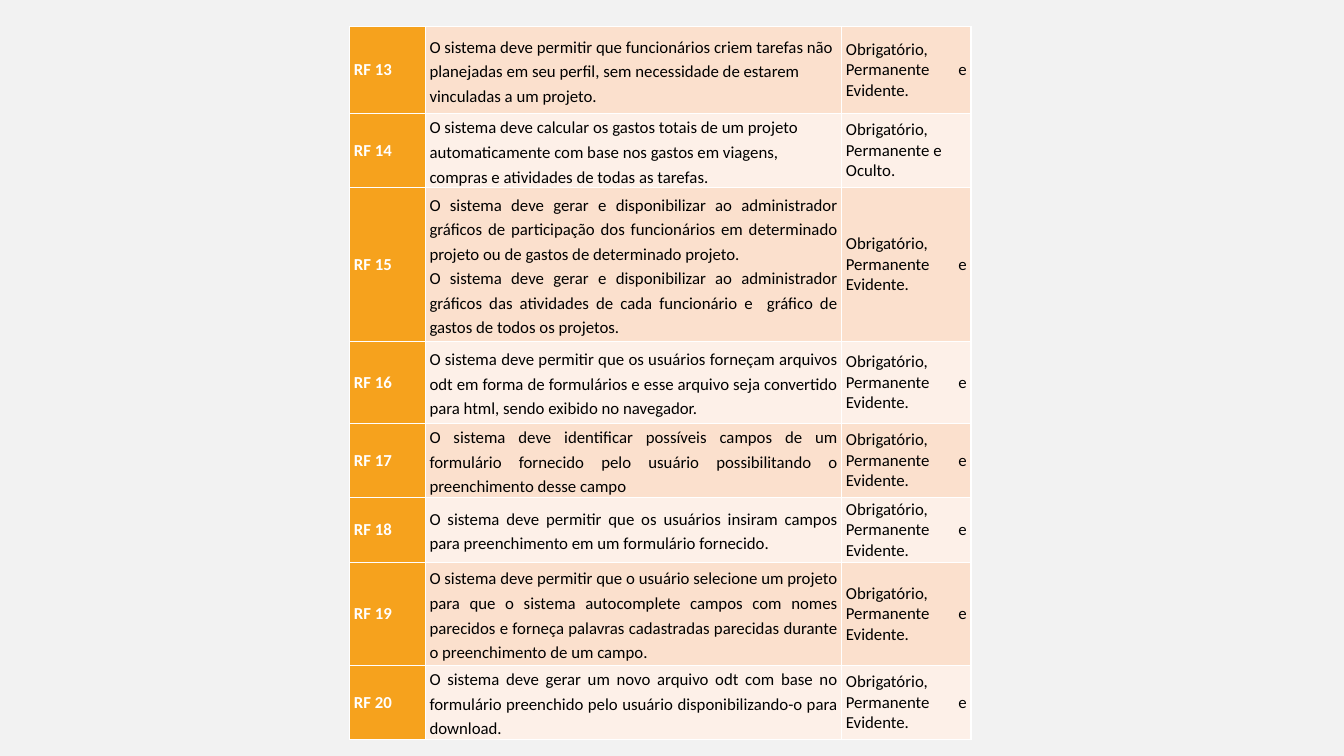
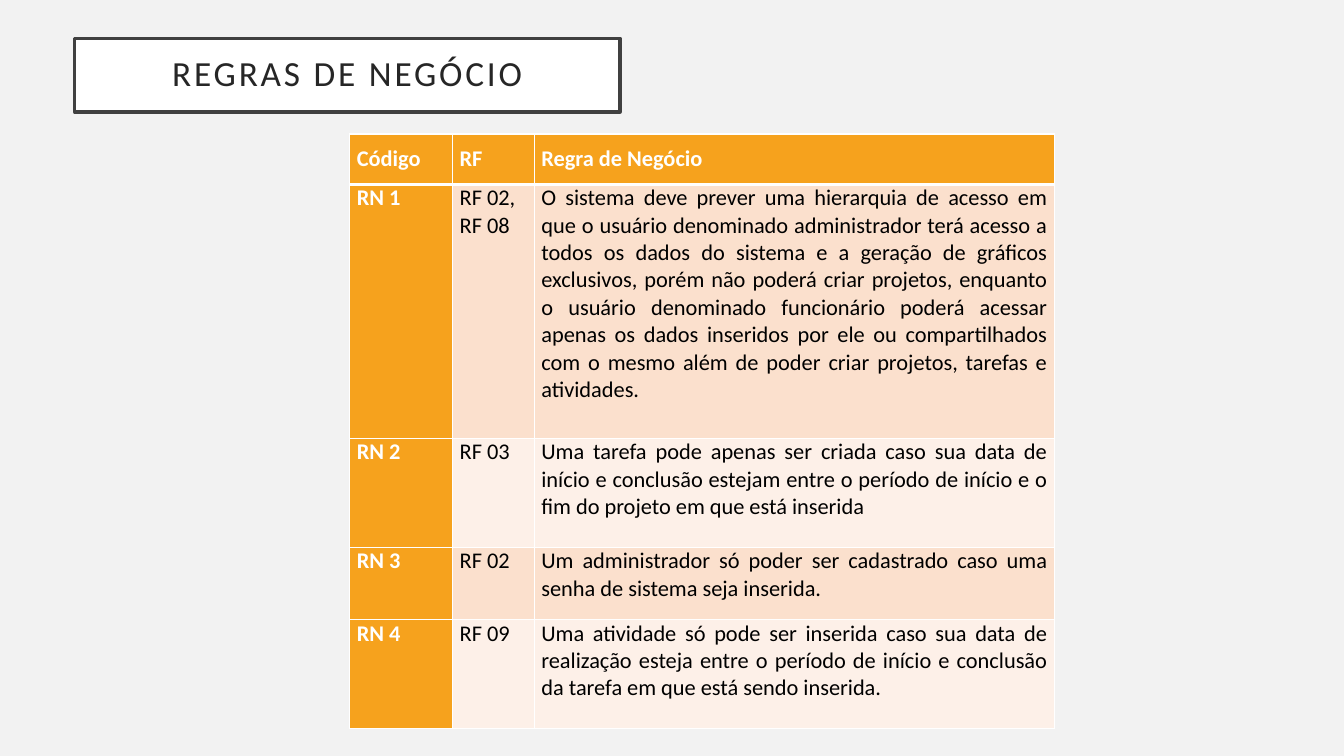
from lxml.etree import SubElement
from pptx import Presentation
from pptx.dml.color import RGBColor
from pptx.enum.text import MSO_ANCHOR, MSO_AUTO_SIZE, PP_ALIGN
from pptx.oxml.ns import qn
from pptx.util import Inches, Pt

# Shared look
FONT = "Calibri"
BACKGROUND = RGBColor(0xF2, 0xF2, 0xF2)
WHITE = RGBColor(0xFF, 0xFF, 0xFF)
BLACK = RGBColor(0x00, 0x00, 0x00)
ORANGE = RGBColor(0xF6, 0xA2, 0x1D)
BANDS = (RGBColor(0xFB, 0xE0, 0xCD), RGBColor(0xFD, 0xF0, 0xE8))
TITLE_LINE = RGBColor(0x40, 0x40, 0x40)
TITLE_TEXT = RGBColor(0x26, 0x26, 0x26)
TABLE_LEFT = 3.47
TITLE_ONLY, BLANK = 5, 6
LEFT, JUSTIFY = PP_ALIGN.LEFT, PP_ALIGN.JUSTIFY

# Functional requirements: code, description, category, description alignment
EVIDENT = "Obrigatório, Permanente e Evidente."
HIDDEN = "Obrigatório, Permanente e\nOculto."
REQUIREMENTS = [
    ("RF 13", "O sistema deve permitir que funcionários criem tarefas não "
     "planejadas em seu perfil, sem necessidade de estarem vinculadas a um "
     "projeto.", EVIDENT, LEFT),
    ("RF 14", "O sistema deve calcular os gastos totais de um projeto "
     "automaticamente com base nos gastos em viagens, compras e atividades "
     "de todas as tarefas.", HIDDEN, LEFT),
    ("RF 15", "O sistema deve gerar e disponibilizar ao administrador "
     "gráficos de participação dos funcionários em determinado projeto ou "
     "de gastos de determinado projeto.\n"
     "O sistema deve gerar e disponibilizar ao administrador gráficos das "
     "atividades de cada funcionário e  gráfico de gastos de todos os "
     "projetos.", EVIDENT, JUSTIFY),
    ("RF 16", "O sistema deve permitir que os usuários forneçam arquivos odt "
     "em forma de formulários e esse arquivo seja convertido para html, "
     "sendo exibido no navegador.", EVIDENT, JUSTIFY),
    ("RF 17", "O sistema deve identificar possíveis campos de um formulário "
     "fornecido pelo usuário possibilitando o preenchimento desse campo",
     EVIDENT, JUSTIFY),
    ("RF 18", "O sistema deve permitir que os usuários insiram campos para "
     "preenchimento em um formulário fornecido.", EVIDENT, JUSTIFY),
    ("RF 19", "O sistema deve permitir que o usuário selecione um projeto "
     "para que o sistema autocomplete campos com nomes parecidos e forneça "
     "palavras cadastradas parecidas durante o preenchimento de um campo.",
     EVIDENT, JUSTIFY),
    ("RF 20", "O sistema deve gerar um novo arquivo odt com base no "
     "formulário preenchido pelo usuário disponibilizando-o para download.",
     EVIDENT, JUSTIFY),
]

# Business rules: code, requirements, rule
RULE_HEADER = ("Código", "RF", "Regra de Negócio")
RULES = [
    ("RN 1", "RF 02, RF 08", "O sistema deve prever uma hierarquia de acesso "
     "em que o usuário denominado administrador terá acesso a todos os dados "
     "do sistema e a geração de gráficos exclusivos, porém não poderá criar "
     "projetos, enquanto o usuário denominado funcionário poderá acessar "
     "apenas os dados inseridos por ele ou compartilhados com o mesmo além "
     "de poder criar projetos, tarefas e atividades."),
    ("RN 2", "RF 03", "Uma tarefa pode apenas ser criada caso sua data de "
     "início e conclusão estejam entre o período de início e o fim do "
     "projeto em que está inserida"),
    ("RN 3", "RF 02", "Um administrador só poder ser cadastrado caso uma "
     "senha de sistema seja inserida."),
    ("RN 4", "RF 09", "Uma atividade só pode ser inserida caso sua data de "
     "realização esteja entre o período de início e conclusão da tarefa em "
     "que está sendo inserida."),
]


def format_text(frame, size, color, bold=False, align=LEFT, spacing=None):
    for para in frame.paragraphs:
        para.alignment = align
        if spacing:
            para.line_spacing = spacing
        for span in para.runs:
            span.font.name = FONT
            span.font.size = Pt(size)
            span.font.bold = bold
            span.font.color.rgb = color


def set_borders(cell, top=1, bottom=1):
    properties = cell._tc.get_or_add_tcPr()
    for side, width in (("L", 1), ("R", 1), ("T", top), ("B", bottom)):
        line = SubElement(properties, qn("a:ln" + side), w=str(Pt(width)))
        fill = SubElement(line, qn("a:solidFill"))
        SubElement(fill, qn("a:srgbClr"), val=str(WHITE))


def add_grid(page, top, widths, heights):
    frame = page.shapes.add_table(
        len(heights), len(widths), Inches(TABLE_LEFT), Inches(top),
        Inches(sum(widths)), Inches(sum(heights)))
    table = frame.table
    table.first_row = table.horz_banding = False
    for column, width in zip(table.columns, widths):
        column.width = Inches(width)
    for row, height in zip(table.rows, heights):
        row.height = Inches(height)
    return table


def fill_cell(cell, text, fill, size, margin, anchor, strong=False,
              align=JUSTIFY, spacing=None, top=1, bottom=1):
    set_borders(cell, top, bottom)
    cell.fill.solid()
    cell.fill.fore_color.rgb = fill
    cell.margin_left = cell.margin_right = Inches(margin)
    cell.margin_top = cell.margin_bottom = 0
    cell.vertical_anchor = anchor
    cell.text_frame.text = text
    format_text(cell.text_frame, size, WHITE if strong else BLACK, strong,
                align, spacing)


def set_title(page, text):
    box = page.shapes.title
    box.left, box.top = Inches(0.74), Inches(0.38)
    box.width, box.height = Inches(5.41), Inches(0.73)
    box.fill.solid()
    box.fill.fore_color.rgb = WHITE
    box.line.color.rgb = TITLE_LINE
    box.line.width = Pt(2.5)
    frame = box.text_frame
    frame.text = text
    frame.auto_size = MSO_AUTO_SIZE.NONE
    frame.word_wrap = True
    frame.vertical_anchor = MSO_ANCHOR.MIDDLE
    frame.margin_left = frame.margin_right = Inches(0.2)
    frame.margin_top = frame.margin_bottom = Inches(0.2)
    format_text(frame, 25.2, TITLE_TEXT, align=PP_ALIGN.CENTER, spacing=0.9)
    # Letter spacing, in hundredths of a point
    frame.paragraphs[0].runs[0].font._element.set("spc", "200")


def add_requirements(deck):
    page = deck.slides.add_slide(deck.slide_layouts[BLANK])
    table = add_grid(page, 0.26, (0.75, 4.13, 1.28),
                     (0.87, 0.65, 1.53, 0.81, 0.65, 0.65, 1.02, 0.65))
    style = {"size": 12, "margin": 0.04, "anchor": MSO_ANCHOR.MIDDLE}
    for row, (code, description, category, align) in enumerate(REQUIREMENTS):
        band = BANDS[row % 2]
        fill_cell(table.cell(row, 0), code, ORANGE, strong=True, **style)
        fill_cell(table.cell(row, 1), description, band, align=align,
                  spacing=1.2, **style)
        fill_cell(table.cell(row, 2), category, band, **style)


def add_rules(deck):
    page = deck.slides.add_slide(deck.slide_layouts[TITLE_ONLY])
    set_title(page, "REGRAS DE NEGÓCIO")
    table = add_grid(page, 1.33, (1.02, 0.81, 5.16),
                     (0.5, 2.52, 1.08, 0.72, 1.08))
    style = {"size": 16, "margin": 0.07}
    for column, heading in enumerate(RULE_HEADER):
        fill_cell(table.cell(0, column), heading, ORANGE, strong=True,
                  anchor=MSO_ANCHOR.MIDDLE, bottom=3, **style)
    style["anchor"] = MSO_ANCHOR.TOP
    for row, (code, requirements, rule) in enumerate(RULES, start=1):
        band = BANDS[(row - 1) % 2]
        style["top"] = 3 if row == 1 else 1
        fill_cell(table.cell(row, 0), code, ORANGE, strong=True, **style)
        fill_cell(table.cell(row, 1), requirements, band, align=LEFT, **style)
        fill_cell(table.cell(row, 2), rule, band, **style)


def main():
    deck = Presentation()
    deck.slide_width, deck.slide_height = Inches(13.33), Inches(7.5)
    background = deck.slide_master.background.fill
    background.solid()
    background.fore_color.rgb = BACKGROUND
    add_requirements(deck)
    add_rules(deck)
    deck.save("out.pptx")


main()
